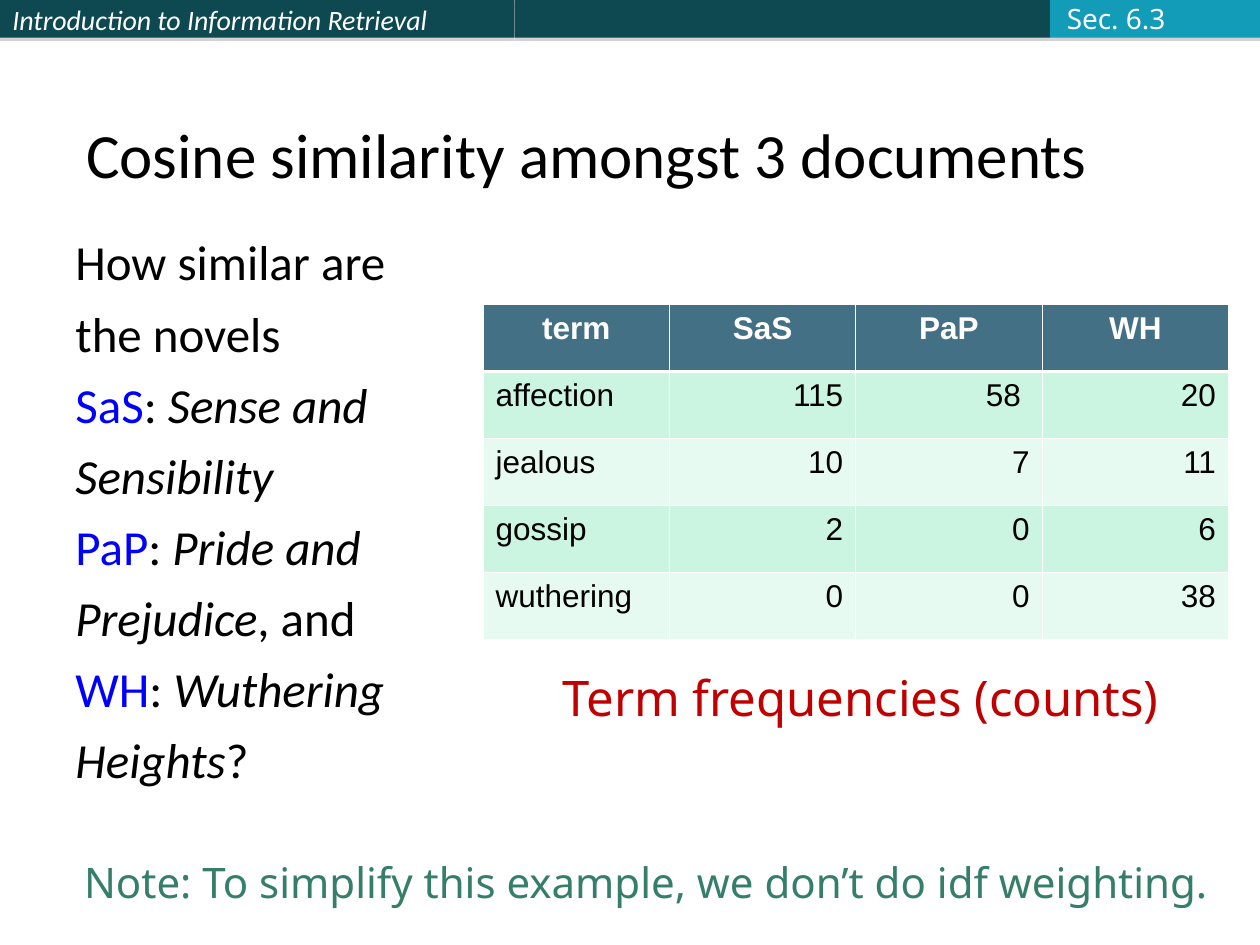
from lxml import etree
from pptx import Presentation
from pptx.dml.color import RGBColor
from pptx.enum.shapes import MSO_SHAPE
from pptx.enum.text import MSO_ANCHOR, MSO_AUTO_SIZE, PP_ALIGN
from pptx.oxml.ns import qn
from pptx.util import Pt

RECT = MSO_SHAPE.RECTANGLE
TOP, MIDDLE, BOTTOM = MSO_ANCHOR.TOP, MSO_ANCHOR.MIDDLE, MSO_ANCHOR.BOTTOM
LEFT, CENTER, RIGHT = PP_ALIGN.LEFT, PP_ALIGN.CENTER, PP_ALIGN.RIGHT
NO_FIT = MSO_AUTO_SIZE.NONE
TITLE_ONLY = 5

COLORS = {
    "black": "000000", "white": "FFFFFF", "blue": "0000FF", "red": "C00000",
    "green": "357E69", "pale": "FBFCFF", "bar": "0E4851", "tab": "139CB7",
    "shadow": "808080", "head": "437085", "odd": "CBF5E1", "even": "E7FAF1",
}

# Each line is a list of (text, colour, italic) runs.
NOVELS = [
    [("How similar are", "black", False)],
    [("the novels", "black", False)],
    [("SaS", "blue", False), (": ", "black", False), ("Sense and", "black", True)],
    [("Sensibility", "black", True)],
    [("PaP", "blue", False), (": ", "black", False), ("Pride and", "black", True)],
    [("Prejudice", "black", True), (", and", "black", False)],
    [("WH", "blue", False), (": ", "black", False), ("Wuthering", "black", True)],
    [("Heights", "black", True), ("?", "black", False)],
]

COUNTS = [
    ["term", "SaS", "PaP", "WH"],
    ["affection", "115", "58 ", "20"],
    ["jealous", "10", "7", "11"],
    ["gossip", "2", "0", "6"],
    ["wuthering", "0", "0", "38"],
]


def rgb(name):
    """Return the named colour."""
    return RGBColor.from_string(COLORS[name])


def style_run(r, font, size, color, italic=False, bold=False):
    """Format one run."""
    f = r.font
    f.name, f.size, f.italic, f.bold = font, Pt(size), italic, bold
    f.color.rgb = rgb(color)


def set_frame(tf, anchor, wrap=True):
    """Set anchor, wrapping and fixed size of a text frame."""
    tf.vertical_anchor = anchor
    tf.word_wrap = wrap
    tf.auto_size = NO_FIT


def add_bar(s, left, width, color):
    """Add one header block with a soft shadow below it."""
    sp = s.shapes.add_shape(RECT, Pt(left), Pt(0), Pt(width), Pt(21.6))
    sp.fill.solid()
    sp.fill.fore_color.rgb = rgb(color)
    sp.line.fill.background()
    sp.shadow.inherit = False
    effects = sp.element.spPr.find(qn("a:effectLst"))
    shadow = etree.SubElement(effects, qn("a:outerShdw"), dist=str(Pt(1.8)),
                              dir="5400000", algn="ctr", rotWithShape="0")
    clr = etree.SubElement(shadow, qn("a:srgbClr"), val=COLORS["shadow"])
    etree.SubElement(clr, qn("a:alpha"), val="35000")
    return sp


def add_label(s, box, text, size, color, anchor=TOP):
    """Add a one-line text box."""
    sp = s.shapes.add_textbox(*map(Pt, box))
    tf = sp.text_frame
    set_frame(tf, anchor, wrap=False)
    tf.text = text
    style_run(tf.paragraphs[0].runs[0], "Noto Sans", size, color)


def add_body(s, box, lines):
    """Add a text box of lines with mixed runs."""
    tf = s.shapes.add_textbox(*map(Pt, box)).text_frame
    set_frame(tf, TOP)
    for i, line in enumerate(lines):
        p = tf.add_paragraph() if i else tf.paragraphs[0]
        p.space_before = Pt(7)
        for text, color, italic in line:
            r = p.add_run()
            r.text = text
            style_run(r, "Calibri", 28, color, italic)


def set_borders(cell, widths):
    """Draw white borders, given a width for each side."""
    tc_pr = cell._tc.get_or_add_tcPr()
    for side, width in widths.items():
        ln = etree.SubElement(tc_pr, qn("a:ln" + side), w=str(Pt(width)))
        fill = etree.SubElement(ln, qn("a:solidFill"))
        etree.SubElement(fill, qn("a:srgbClr"), val=COLORS["white"])


def add_counts_table(s, box, rows):
    """Add the banded table with its header row."""
    left, top, width, height = box
    n_rows, n_cols = len(rows), len(rows[0])
    table = s.shapes.add_table(n_rows, n_cols, *map(Pt, box)).table
    for col in table.columns:
        col.width = Pt(width / n_cols)
    for i, row in enumerate(rows):
        table.rows[i].height = Pt(height / n_rows)
        for j, text in enumerate(row):
            cell = table.cell(i, j)
            set_borders(cell, {"L": 0.45, "R": 0.45,
                               "T": 1.47 if i == 1 else 0.45,
                               "B": 1.47 if i == 0 else 0.45})
            cell.fill.solid()
            band = "odd" if i % 2 else "even"
            cell.fill.fore_color.rgb = rgb(band if i else "head")
            cell.text = text
            p = cell.text_frame.paragraphs[0]
            p.alignment = CENTER if i == 0 else RIGHT if j else LEFT
            style_run(p.runs[0], "Arial", 18, "black" if i else "white",
                      bold=i == 0)


def set_title(s, box, text):
    """Place and format the title placeholder."""
    sp = s.shapes.title
    sp.left, sp.top, sp.width, sp.height = map(Pt, box)
    tf = sp.text_frame
    set_frame(tf, BOTTOM)
    tf.text = text
    p = tf.paragraphs[0]
    p.alignment = LEFT
    style_run(p.runs[0], "Calibri", 36, "black")


def main():
    """Build the slide and save it."""
    prs = Presentation()
    prs.slide_width, prs.slide_height = Pt(720), Pt(540)
    s = prs.slides.add_slide(prs.slide_layouts[TITLE_ONLY])

    course = add_bar(s, 0, 294, "bar")
    add_bar(s, 294, 306, "bar")
    add_bar(s, 600, 120, "tab")
    tf = course.text_frame
    set_frame(tf, MIDDLE)
    tf.text = "Introduction to Information Retrieval"
    tf.paragraphs[0].alignment = LEFT
    style_run(tf.paragraphs[0].runs[0], "Calibri", 16, "white", italic=True)

    set_title(s, (42, 21.6, 678, 91.4), "Cosine similarity amongst 3 documents")
    add_counts_table(s, (276, 174, 426, 191.5), COUNTS)
    add_body(s, (36, 129, 237, 369), NOVELS)
    add_label(s, (314.5, 378, 357, 41), "Term frequencies (counts)", 28, "red")
    add_label(s, (602.5, -2.6, 70.5, 26.6), "Sec. 6.3", 16, "pale", MIDDLE)
    add_label(s, (41, 486, 659, 36),
              "Note: To simplify this example, we don’t do idf weighting.",
              24, "green")
    prs.save("out.pptx")


main()
